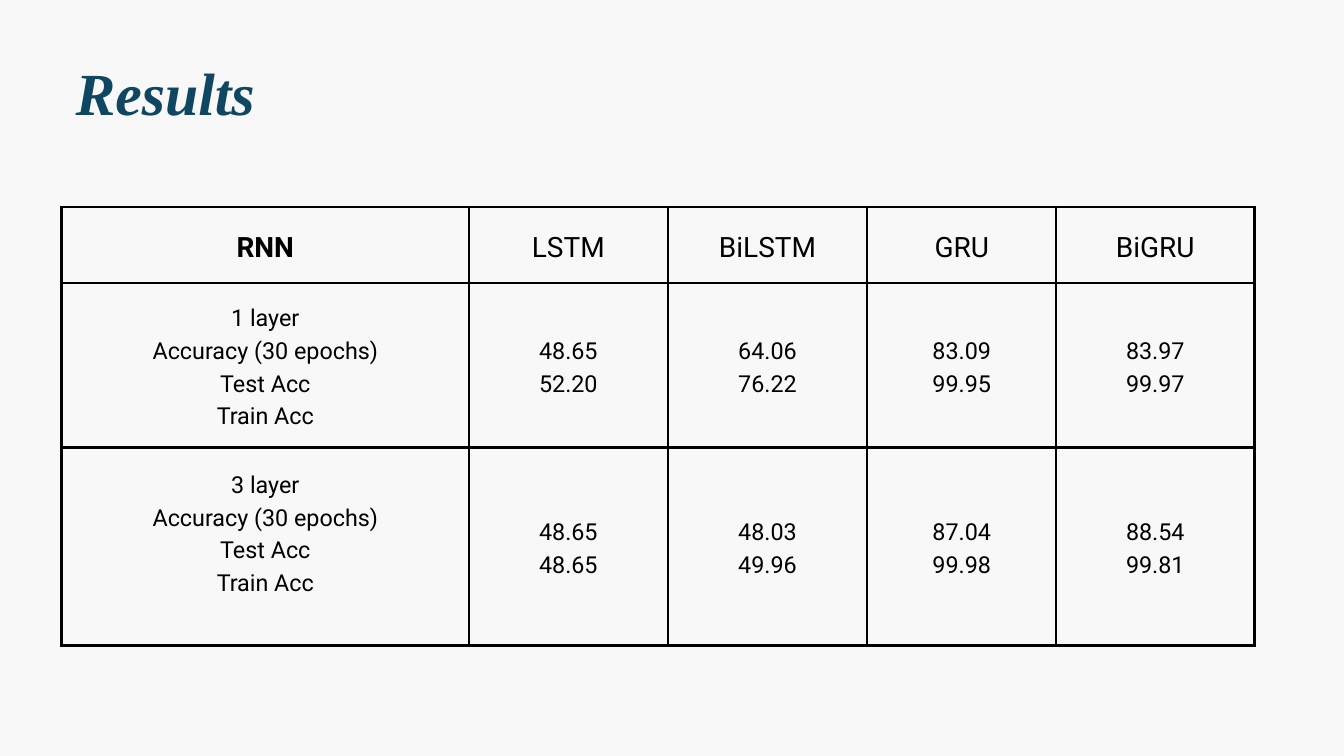
from lxml import etree
from pptx import Presentation
from pptx.dml.color import RGBColor
from pptx.enum.text import MSO_ANCHOR, MSO_AUTO_SIZE, PP_ALIGN
from pptx.oxml.ns import qn
from pptx.util import Pt

EMU_PER_PX = 9525
TITLE_ONLY = 5
CENTER, LEFT = PP_ALIGN.CENTER, PP_ALIGN.LEFT
MIDDLE, TOP = MSO_ANCHOR.MIDDLE, MSO_ANCHOR.TOP
NO_AUTOFIT = MSO_AUTO_SIZE.NONE

BACKGROUND = RGBColor(0xF8, 0xF8, 0xF8)
NAVY = RGBColor(0x0F, 0x46, 0x62)
BLACK = RGBColor(0, 0, 0)

LINE_RATIO = 1.4
BORDER_PT = 3
CELL_INSET = 20
LAST_LABEL_BOTTOM_INSET = 61
COLUMN_WIDTHS = [582, 284, 285, 270, 283]
ROW_HEIGHTS = [108, 235, 283]

MEASURES = ["Accuracy (30 epochs)", "Test Acc", "Train Acc"]
HEADER = [["RNN"], ["LSTM"], ["BiLSTM"], ["GRU"], ["BiGRU"]]
RESULTS = [
    [["1 layer", *MEASURES], ["48.65", "52.20"], ["64.06", "76.22"],
     ["83.09", "99.95"], ["83.97", "99.97"]],
    [["3 layer", *MEASURES], ["48.65", "48.65"], ["48.03", "49.96"],
     ["87.04", "99.98"], ["88.54", "99.81"]],
]


def px(length):
    return length * EMU_PER_PX


def write_lines(frame, lines, font_name, size, color, align, bold=False, italic=False):
    for index, line in enumerate(lines):
        paragraph = frame.add_paragraph() if index else frame.paragraphs[0]
        paragraph.alignment = align
        paragraph.line_spacing = Pt(size * LINE_RATIO)
        paragraph.space_before = paragraph.space_after = Pt(0)
        run = paragraph.add_run()
        run.text = line
        run.font.name = font_name
        run.font.size = Pt(size)
        run.font.bold = bold
        run.font.italic = italic
        run.font.color.rgb = color


def add_title(slide, text):
    title = slide.shapes.title
    title.left, title.top, title.width, title.height = map(px, (108, 63, 1477, 114))
    frame = title.text_frame
    frame.margin_left = frame.margin_top = frame.margin_right = frame.margin_bottom = 0
    frame.word_wrap = True
    frame.auto_size = NO_AUTOFIT
    frame.vertical_anchor = TOP
    write_lines(frame, [text], "Times New Roman", 64, NAVY, LEFT, bold=True, italic=True)


def set_borders(cell):
    properties = cell._tc.get_or_add_tcPr()
    for position, side in enumerate(("a:lnL", "a:lnR", "a:lnT", "a:lnB")):
        line = etree.Element(qn(side), w=str(Pt(BORDER_PT)))
        fill = etree.SubElement(line, qn("a:solidFill"))
        etree.SubElement(fill, qn("a:srgbClr"), val=str(BLACK))
        properties.insert(position, line)


def fill_cell(cell, lines, size, bold=False):
    cell.margin_left = cell.margin_right = px(CELL_INSET)
    cell.margin_top = cell.margin_bottom = px(CELL_INSET)
    cell.vertical_anchor = MIDDLE
    cell.fill.background()
    set_borders(cell)
    write_lines(cell.text_frame, lines, "Roboto", size, BLACK, CENTER, bold=bold)


def add_results_table(slide):
    rows = [HEADER, *RESULTS]
    table = slide.shapes.add_table(
        len(rows), len(HEADER), px(88), px(296),
        px(sum(COLUMN_WIDTHS)), px(sum(ROW_HEIGHTS))).table
    table.first_row = table.horz_banding = False
    for column, width in zip(table.columns, COLUMN_WIDTHS):
        column.width = px(width)
    for row, height in zip(table.rows, ROW_HEIGHTS):
        row.height = px(height)
    for r, row in enumerate(rows):
        for c, lines in enumerate(row):
            fill_cell(table.cell(r, c), lines, 25 if r else 30, bold=r == c == 0)
    table.cell(len(rows) - 1, 0).margin_bottom = px(LAST_LABEL_BOTTOM_INSET)


def main():
    presentation = Presentation()
    presentation.slide_width, presentation.slide_height = px(1920), px(1080)
    slide = presentation.slides.add_slide(presentation.slide_layouts[TITLE_ONLY])
    slide.background.fill.solid()
    slide.background.fill.fore_color.rgb = BACKGROUND
    add_title(slide, "Results")
    add_results_table(slide)
    presentation.save("out.pptx")


if __name__ == "__main__":
    main()
